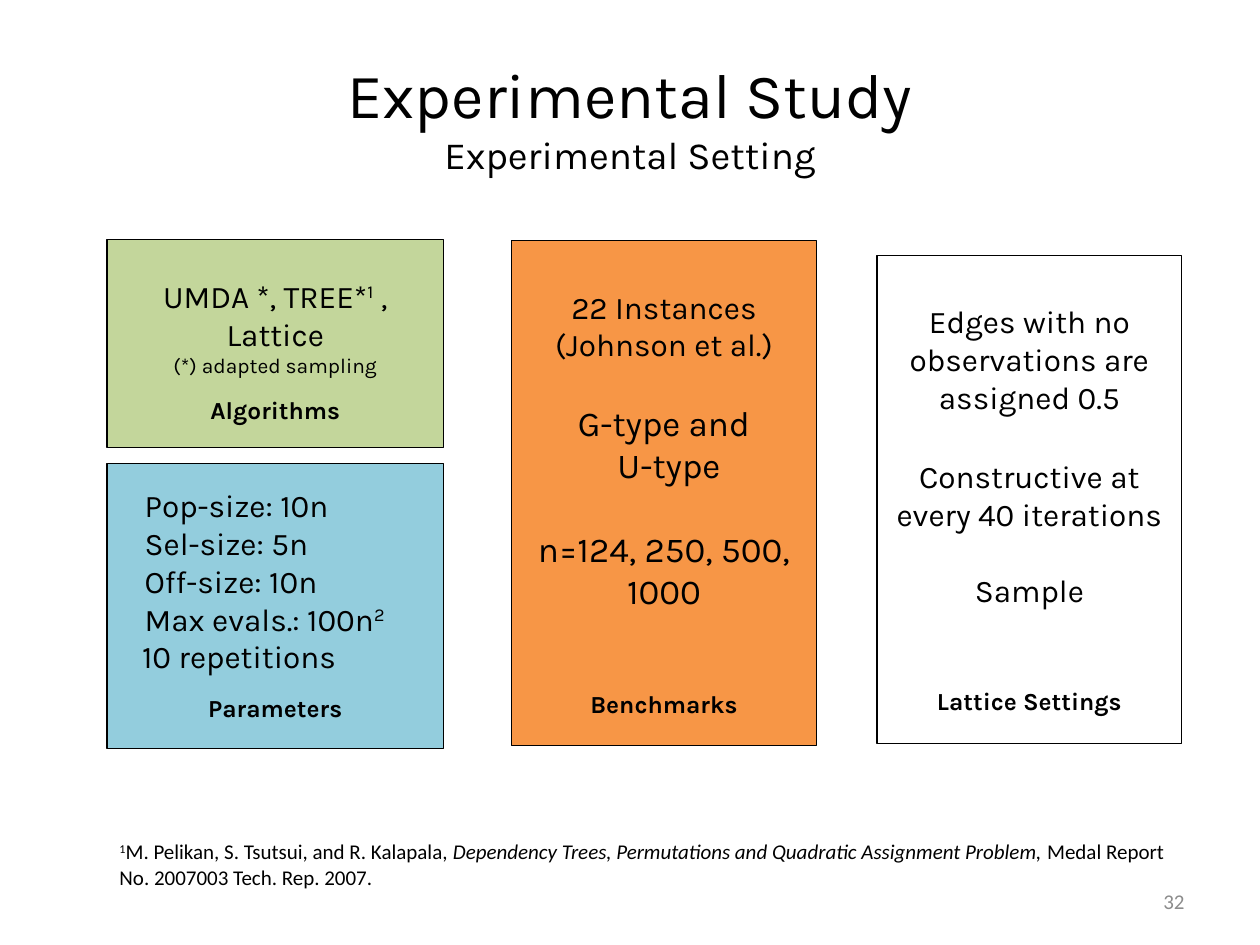
import pptx
import pptx.util
import pptx.dml.color
import pptx.enum.shapes
import pptx.enum.text

Inches, Pt = pptx.util.Inches, pptx.util.Pt
RGBColor = pptx.dml.color.RGBColor
ALIGN, ANCHOR = pptx.enum.text.PP_ALIGN, pptx.enum.text.MSO_ANCHOR

BLACK = RGBColor(0x00, 0x00, 0x00)
GREY = RGBColor(0x8C, 0x8C, 0x8C)
GREEN = RGBColor(0xC3, 0xD6, 0x9B)
BLUE = RGBColor(0x93, 0xCD, 0xDD)
ORANGE = RGBColor(0xF7, 0x96, 0x46)

HEADING = [("Experimental Study", 36), ("Experimental Setting", 22)]
CARDS = [
    {"label": "Algorithms", "at": (0.85, 1.9, 2.67, 1.65), "fill": GREEN,
     "anchor": ANCHOR.BOTTOM, "bottom": 0.18, "gap": 10,
     "lines": [
         {"runs": [("UMDA *, TREE*", ""), ("1", "super"), (" , Lattice", "")]},
         {"runs": [("(*) adapted sampling", "")], "size": 12}]},
    {"label": "Parameters", "at": (0.85, 3.68, 2.67, 2.26), "fill": BLUE,
     "anchor": ANCHOR.TOP, "top": 0.18, "gap": 10, "align": ALIGN.LEFT,
     "lines": [
         {"runs": [("Pop-size: 10n", "")], "indent": 0.2},
         {"runs": [("Sel-size: 5n", "")], "indent": 0.2},
         {"runs": [("Off-size: 10n", "")], "indent": 0.2},
         {"runs": [("Max evals.: 100n", ""), ("2", "super")], "indent": 0.2},
         {"runs": [("10 repetitions", "")], "indent": 0.18}]},
    {"label": "Benchmarks", "at": (4.06, 1.91, 2.42, 4.01), "fill": ORANGE,
     "anchor": ANCHOR.BOTTOM, "bottom": 0.22, "gap": 44,
     "lines": [
         {"runs": [("22 Instances (Johnson et al.)", "")]},
         {"runs": [("G-type and", "")], "size": 20, "before": 22},
         {"runs": [("U-type", "")], "size": 20, "indent": 0.08},
         {"runs": [("n=124, 250, 500, 1000", "")], "size": 20, "before": 24}]},
    {"label": "Lattice Settings", "at": (6.96, 2.03, 2.42, 3.87), "fill": None,
     "anchor": ANCHOR.BOTTOM, "bottom": 0.22, "gap": 44,
     "lines": [
         {"runs": [("Edges with no observations are assigned 0.5", "")]},
         {"runs": [("Constructive at every 40 iterations", "")], "before": 24},
         {"runs": [("Sample", "")], "before": 22}]},
]
REFERENCE = [
    ("1", "super"),
    ("M. Pelikan, S. Tsutsui, and R. Kalapala, ", ""),
    ("Dependency Trees, Permutations and Quadratic Assignment Problem, ", "italic"),
    ("Medal Report No. 2007003 Tech. Rep. 2007.", ""),
]
PAGE = "32"


def write(paragraph, runs, size, font="Karla", color=BLACK, align=ALIGN.CENTER,
          before=0, indent=0):
    paragraph.alignment = align
    paragraph.space_before = Pt(before)
    if indent:
        paragraph._p.get_or_add_pPr().set("marL", str(Inches(indent)))
    for text, style in runs:
        run = paragraph.add_run()
        run.text = text
        run.font.name = font
        run.font.size = Pt(size)
        run.font.color.rgb = color
        if style == "super":
            run.font._element.set("baseline", "30000")
        elif style == "italic":
            run.font.italic = True
        elif style == "bold":
            run.font.bold = True


def next_paragraph(frame, index):
    return frame.add_paragraph() if index else frame.paragraphs[0]


def add_card(slide, card):
    box = slide.shapes.add_shape(pptx.enum.shapes.MSO_SHAPE.RECTANGLE,
                                 *map(Inches, card["at"]))
    box.shadow.inherit = False
    box.line.color.rgb = BLACK
    box.line.width = Pt(0.75)
    if card["fill"] is None:
        box.fill.background()
    else:
        box.fill.solid()
        box.fill.fore_color.rgb = card["fill"]
    frame = box.text_frame
    frame.word_wrap = True
    frame.vertical_anchor = card["anchor"]
    frame.margin_top = Inches(card.get("top", 0.05))
    frame.margin_bottom = Inches(card.get("bottom", 0.05))
    for index, line in enumerate(card["lines"]):
        write(next_paragraph(frame, index), line["runs"], line.get("size", 18),
              align=card.get("align", ALIGN.CENTER),
              before=line.get("before", 0), indent=line.get("indent", 0))
    write(frame.add_paragraph(), [(card["label"], "bold")], 14, before=card["gap"])


def add_note(slide, at, runs, color, align, anchor):
    frame = slide.shapes.add_textbox(*map(Inches, at)).text_frame
    frame.word_wrap = True
    frame.vertical_anchor = anchor
    write(frame.paragraphs[0], runs, 12, "Calibri", color, align)


def main():
    deck = pptx.Presentation()
    deck.slide_width, deck.slide_height = Inches(10), Inches(7.5)
    slide = deck.slides.add_slide(deck.slide_layouts[5])

    title = slide.shapes.title
    title.left, title.top, title.width, title.height = map(Inches, (0.5, 0.3, 9, 1.25))
    title.text_frame.vertical_anchor = ANCHOR.MIDDLE
    for index, (text, size) in enumerate(HEADING):
        write(next_paragraph(title.text_frame, index), [(text, "")], size)

    for card in CARDS:
        add_card(slide, card)
    add_note(slide, (0.85, 6.61, 8.53, 0.5), REFERENCE, BLACK, ALIGN.LEFT, ANCHOR.TOP)
    add_note(slide, (7.17, 6.95, 2.33, 0.4), [(PAGE, "")], GREY, ALIGN.RIGHT, ANCHOR.MIDDLE)
    deck.save("out.pptx")


if __name__ == "__main__":
    main()
